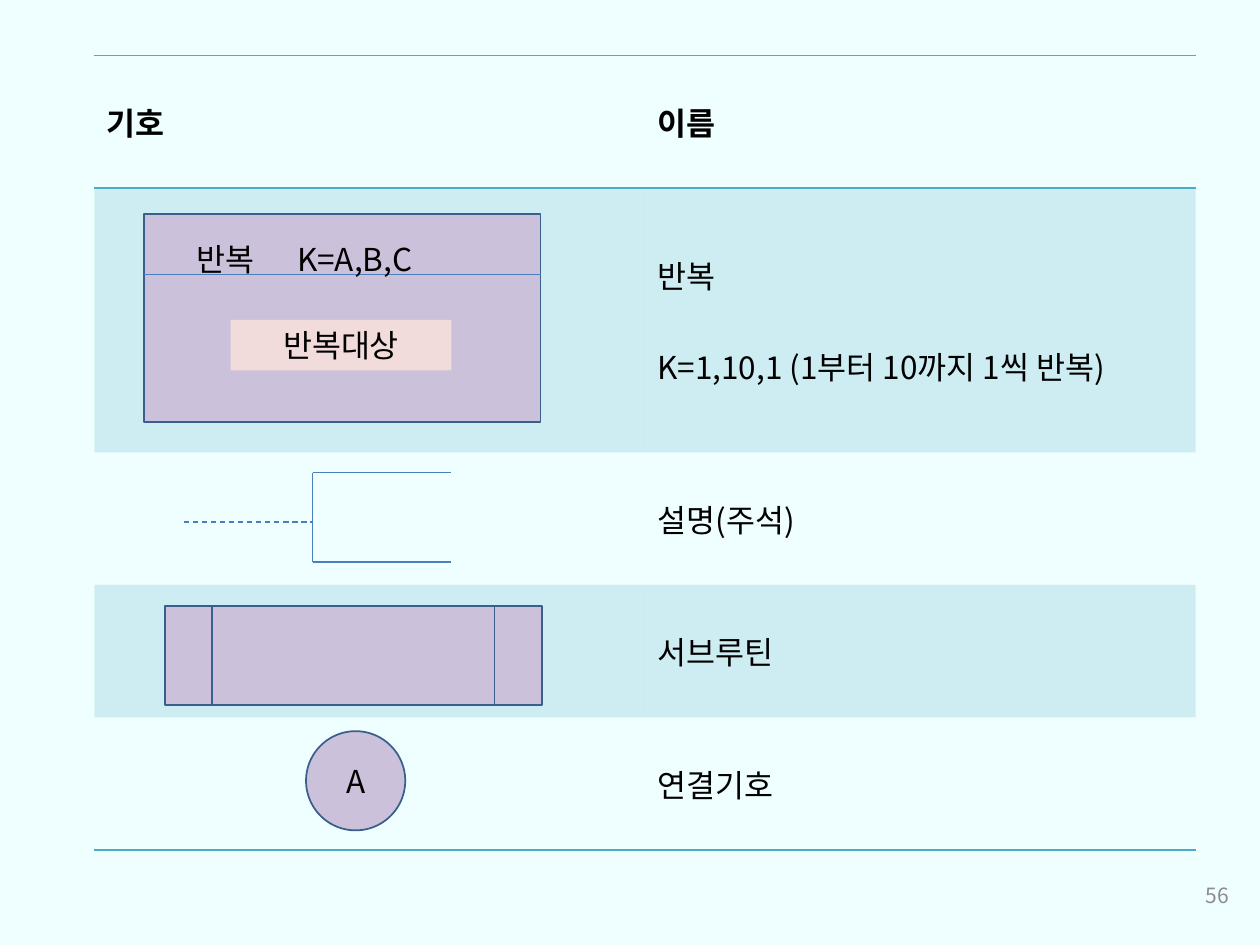
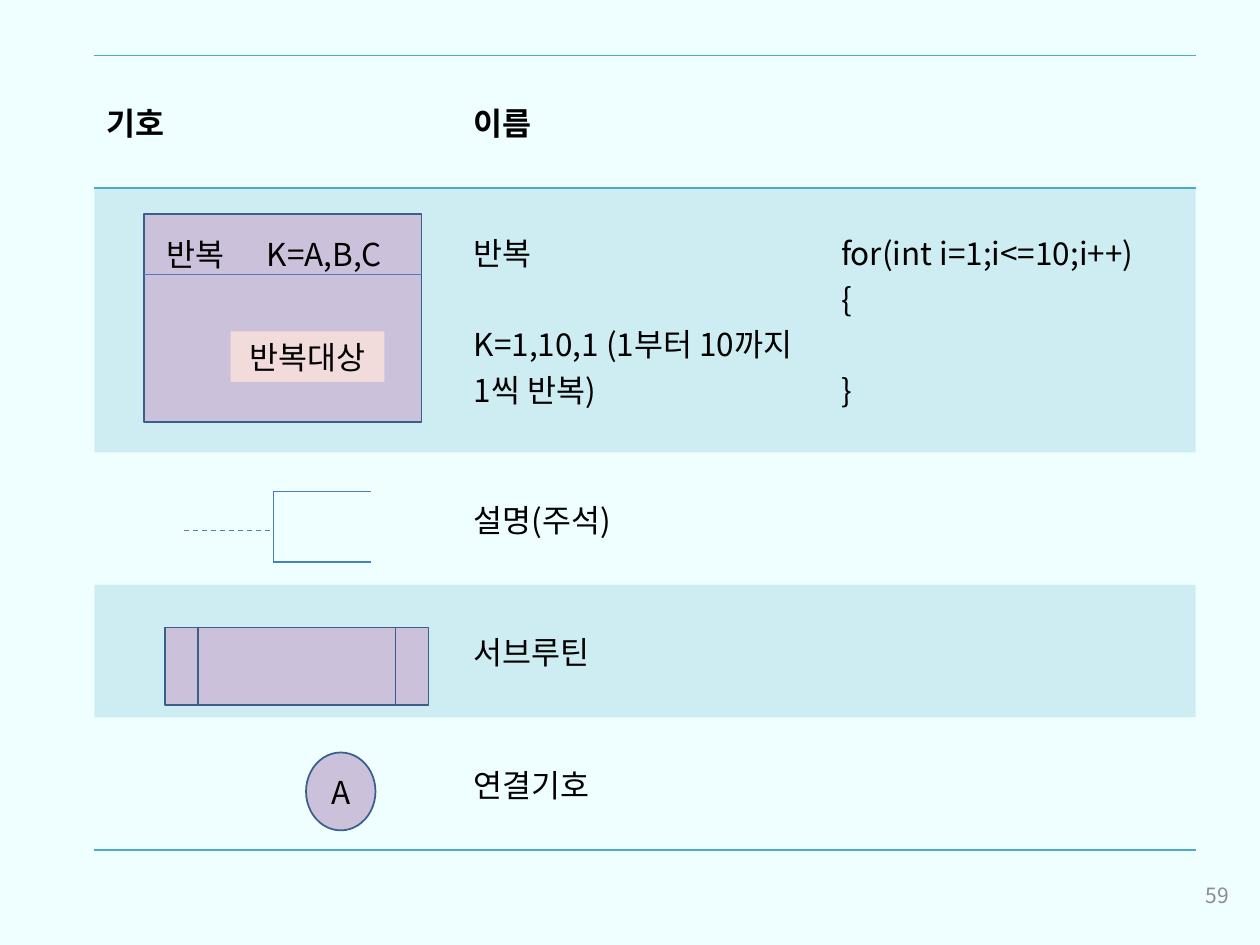
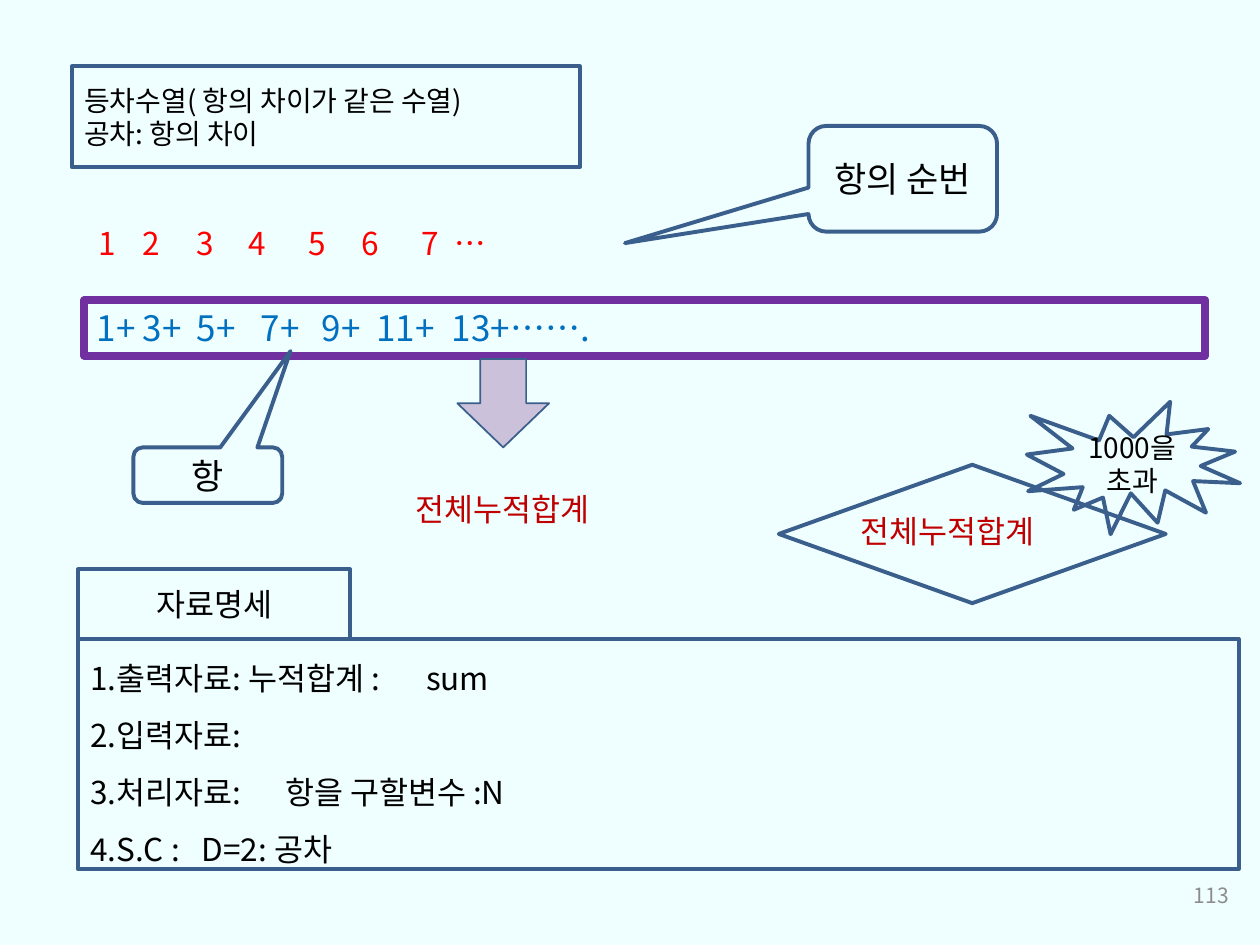
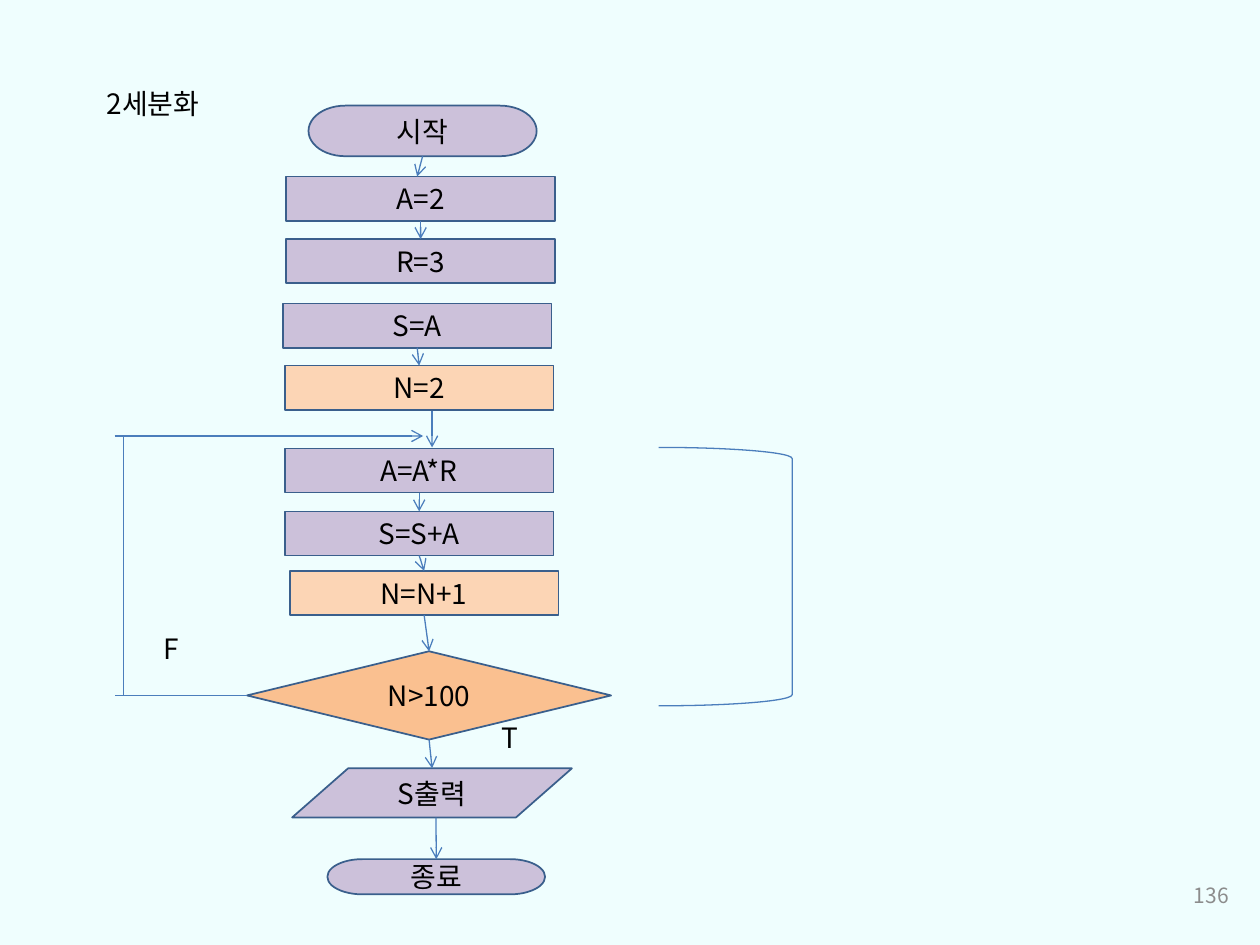
import lxml.etree
import pptx
import pptx.dml.color
import pptx.enum.dml
import pptx.enum.shapes
import pptx.enum.text
import pptx.oxml.ns
import pptx.util

Cm = pptx.util.Cm
Pt = pptx.util.Pt
SHAPE = pptx.enum.shapes.MSO_SHAPE
ALIGN = pptx.enum.text.PP_ALIGN
ANCHOR = pptx.enum.text.MSO_ANCHOR
qn = pptx.oxml.ns.qn

FONT = "Noto Sans CJK KR"
PLAIN_TABLE = "{2D5ABB26-0587-4C30-8999-92F81FD0307C}"
TOP, LEFT, BOTTOM = 0, 1, 2
COLORS = {
    "background": "EFFEFE",
    "text": "000000",
    "number": "8C8C8C",
    "teal": "4BACC6",
    "outline": "3A5F8C",
    "line": "4B7EBC",
    "lilac": "CCC1DA",
    "pink": "F2DCDB",
    "peach": "FCD5B5",
    "orange": "FAC090",
    "purple": "7030A0",
    "blue": "0070C0",
    "red": "FF0000",
    "dark_red": "C00000",
}


def rgb(name):
    return pptx.dml.color.RGBColor.from_string(COLORS[name])


def add_xml(parent, tag, **attributes):
    return lxml.etree.SubElement(parent, qn(tag), attributes)


def write_text(frame, text, size=18, color="text", bold=False, align=ALIGN.LEFT,
               line_spacing=None, tabs=(), gap_before_last=0):
    lines = text.split("\n")
    for index, line in enumerate(lines):
        paragraph = frame.paragraphs[0] if index == 0 else frame.add_paragraph()
        paragraph.alignment = align
        if line_spacing:
            paragraph.line_spacing = line_spacing
        if gap_before_last and index == len(lines) - 1:
            paragraph.space_before = Pt(gap_before_last)
        stops = tabs[index] if tabs else ()
        if stops:
            tab_list = add_xml(paragraph._p.get_or_add_pPr(), "a:tabLst")
            for stop in stops:
                add_xml(tab_list, "a:tab", pos=str(Cm(stop)), algn="l")
        run = paragraph.add_run()
        run.text = line
        run.font.size = Pt(size)
        run.font.bold = bold
        run.font.color.rgb = rgb(color)
        run.font.name = FONT
        add_xml(run._r.get_or_add_rPr(), "a:ea", typeface=FONT)


def fit_frame(frame, anchor, grow):
    frame.word_wrap = True
    frame.vertical_anchor = anchor
    if grow:
        frame.auto_size = pptx.enum.text.MSO_AUTO_SIZE.SHAPE_TO_FIT_TEXT


def add_label(slide, box, text, anchor=ANCHOR.TOP, grow=True, **text_format):
    label = slide.shapes.add_textbox(*map(Cm, box))
    fit_frame(label.text_frame, anchor, grow)
    write_text(label.text_frame, text, **text_format)


def add_box(slide, kind, box, text="", fill=None, line="outline", line_width=1,
            adjustments=(), anchor=ANCHOR.MIDDLE, grow=False,
            align=ALIGN.CENTER, **text_format):
    shape = slide.shapes.add_shape(kind, *map(Cm, box))
    shape.shadow.inherit = False
    for index, value in enumerate(adjustments):
        shape.adjustments[index] = value
    if fill:
        shape.fill.solid()
        shape.fill.fore_color.rgb = rgb(fill)
    else:
        shape.fill.background()
    if line:
        shape.line.color.rgb = rgb(line)
        shape.line.width = Pt(line_width)
    else:
        shape.line.fill.background()
    if text:
        fit_frame(shape.text_frame, anchor, grow)
        write_text(shape.text_frame, text, align=align, **text_format)
    return shape


def add_line(slide, start=(0, 0), end=(0, 0), dashed=False, arrow=False,
             begin_at=None, end_at=None):
    connector = slide.shapes.add_connector(
        pptx.enum.shapes.MSO_CONNECTOR.STRAIGHT, *map(Cm, (*start, *end)))
    if begin_at:
        connector.begin_connect(*begin_at)
    if end_at:
        connector.end_connect(*end_at)
    connector.line.color.rgb = rgb("line")
    connector.line.width = Pt(0.75)
    if dashed:
        connector.line.dash_style = pptx.enum.dml.MSO_LINE.DASH
    properties = connector._element.spPr
    if arrow:
        add_xml(properties.find(qn("a:ln")), "a:tailEnd", type="arrow")
    add_xml(properties, "a:effectLst")


def add_numbered_slide(presentation, number):
    slide = presentation.slides.add_slide(presentation.slide_layouts[6])
    add_label(slide, (19.1, 17.53, 5.92, 1.02), str(number), size=12, color="number",
              align=ALIGN.RIGHT, anchor=ANCHOR.MIDDLE, grow=False)
    return slide


def style_cell(cell, edges, banded):
    properties = cell._tc.get_or_add_tcPr()
    for edge in edges:
        border = add_xml(properties, edge, w=str(Pt(1)))
        add_xml(add_xml(border, "a:solidFill"), "a:srgbClr", val=COLORS["teal"])
    if banded:
        cell.fill.solid()
        cell.fill.fore_color.rgb = rgb("teal")
        color = properties.find(qn("a:solidFill")).find(qn("a:srgbClr"))
        add_xml(color, "a:alpha", val="20000")
    else:
        cell.fill.background()
    cell.vertical_anchor = ANCHOR.MIDDLE


def add_symbol_table(slide, rows):
    width = 22.2
    column_count = len(rows[0])
    table = slide.shapes.add_table(len(rows), column_count, Cm(1.9), Cm(1.12),
                                   Cm(width), Cm(16)).table
    table._tbl.tblPr.find(qn("a:tableStyleId")).text = PLAIN_TABLE
    table.first_row = table.horz_banding = False
    for column in table.columns:
        column.width = Cm(width / column_count)
    edges = {0: ("a:lnT", "a:lnB"), len(rows) - 1: ("a:lnB",)}
    for row_index, texts in enumerate(rows):
        table.rows[row_index].height = Cm(5.33 if row_index == 1 else 2.67)
        for column_index, text in enumerate(texts):
            cell = table.cell(row_index, column_index)
            style_cell(cell, edges.get(row_index, ()), row_index % 2 == 1)
            if text:
                write_text(cell.text_frame, text, bold=row_index == 0,
                           gap_before_last=26 if "\n" in text else 0)


def draw_loop_symbol(slide, width, caption_box, body_box):
    left, top, divider = 2.9, 4.32, 5.54
    add_box(slide, SHAPE.RECTANGLE, (left, top, width, 4.19), fill="lilac")
    add_line(slide, (left, divider), (left + width, divider))
    add_label(slide, caption_box, "반복\tK=A,B,C", tabs=[(2.03,)])
    add_box(slide, SHAPE.RECTANGLE, body_box, "반복대상", fill="pink", line=None,
            anchor=ANCHOR.TOP, grow=True)


def draw_comment_symbol(slide, spine, right, top, middle):
    bottom = 11.33
    add_line(slide, (3.71, middle), (spine, middle), dashed=True)
    for arm in (top, bottom):
        add_line(slide, (spine, arm), (right, arm))
    add_line(slide, (spine, top), (spine, bottom))


def draw_small_symbols(slide, height, subroutine_width, circle_width):
    add_box(slide, SHAPE.FLOWCHART_PREDEFINED_PROCESS,
            (3.33, 14.22 - height, subroutine_width, height), fill="lilac")
    add_box(slide, SHAPE.FLOWCHART_CONNECTOR,
            (6.17, 16.74 - height, circle_width, height), "A", fill="lilac")


def symbol_rows(*code):
    names = ["이름", "반복\nK=1,10,1 (1부터 10까지 1씩 반복)", "설명(주석)",
             "서브루틴", "연결기호"]
    rows = [["기호" if index == 0 else "", name] for index, name in enumerate(names)]
    if code:
        for index, row in enumerate(rows):
            row.append("\n".join(code) if index == 1 else "")
    return rows


def build_symbols(presentation):
    slide = add_numbered_slide(presentation, 56)
    add_symbol_table(slide, symbol_rows())
    draw_loop_symbol(slide, 8, (3.71, 4.72, 6.4, 1.02), (4.65, 6.45, 4.45, 1.02))
    draw_comment_symbol(slide, spine=6.3, right=9.09, top=9.53, middle=10.52)
    draw_small_symbols(slide, height=2, subroutine_width=7.59, circle_width=2)


def build_symbols_with_code(presentation):
    slide = add_numbered_slide(presentation, 59)
    add_symbol_table(slide, symbol_rows("for(int i=1;i<=10;i++)", "{", "}"))
    draw_loop_symbol(slide, 5.6, (3.1, 4.62, 5.41, 1.02), (4.65, 6.68, 3.1, 1.02))
    draw_comment_symbol(slide, spine=5.51, right=7.47, top=9.91, middle=10.69)
    draw_small_symbols(slide, height=1.57, subroutine_width=5.31, circle_width=1.4)


def build_sequence(presentation):
    slide = add_numbered_slide(presentation, 113)
    add_box(slide, SHAPE.RECTANGLE, (1.7, 6.05, 22.6, 1.12),
            "1+\t3+\t5+\t7+\t9+\t11+\t13+…….", line="purple", line_width=4.5,
            size=20, color="blue", align=ALIGN.LEFT, anchor=ANCHOR.TOP, grow=True,
            tabs=[(0.93, 2.02, 3.31, 4.54, 5.64, 7.16)])
    add_label(slide, (1.73, 4.39, 22.6, 1.02), "1\t2\t3\t4\t5\t6\t7\t…", color="red",
              tabs=[(0.9, 1.98, 3.04, 4.25, 5.3, 6.51, 7.18)])
    add_label(slide, (8.13, 9.75, 4.8, 1.02), "전체누적합계", color="dark_red")
    add_box(slide, SHAPE.DOWN_ARROW, (9.22, 7.24, 1.85, 1.78), fill="lilac")

    callouts = [
        ("항의 순번", (16.3, 2.54, 3.8, 2.13), (-1.474, 0.609, 0.167)),
        ("항", (2.69, 9.02, 3, 1.12), (0.556, -2.234, 0.167)),
    ]
    for text, box, adjustments in callouts:
        add_box(slide, SHAPE.ROUNDED_RECTANGULAR_CALLOUT, box, text, line_width=2.25,
                adjustments=adjustments, size=20)

    add_box(slide, SHAPE.RECTANGLE, (1.45, 1.34, 10.24, 2.03),
            "등차수열( 항의 차이가 같은 수열)\n공차: 항의 차이",
            line_width=2.25, size=16, align=ALIGN.LEFT)
    add_box(slide, SHAPE.FLOWCHART_DECISION, (15.7, 9.37, 7.8, 2.79), line_width=2.25)
    add_label(slide, (17.1, 10.19, 6, 1.02), "전체누적합계", color="dark_red")
    add_box(slide, SHAPE.RECTANGLE, (1.57, 11.48, 5.49, 1.4), "자료명세",
            line_width=2.25)
    data_items = [
        "1.출력자료: 누적합계 :\tsum",
        "2.입력자료:",
        "3.처리자료:\t항을 구할변수 :N",
        "4.S.C :\tD=2: 공차",
    ]
    add_box(slide, SHAPE.RECTANGLE, (1.57, 12.88, 23.4, 4.64), "\n".join(data_items),
            line_width=2.25, align=ALIGN.LEFT, line_spacing=1.5,
            tabs=[(6.77,), (), (3.93,), (2.25,)])
    add_box(slide, SHAPE.EXPLOSION1, (20.7, 8.1, 4.3, 2.67), "1000을 초과",
            line_width=2.25, size=16)


def build_flowchart(presentation):
    slide = add_numbered_slide(presentation, 136)
    add_line(slide, (8.71, 7.82), (8.71, 9.02), arrow=True)

    processes = [
        ("A=2", 5.77, 3.56, "lilac"),
        ("R=3", 5.77, 4.82, "lilac"),
        ("S=A", 5.7, 6.12, "lilac"),
        ("N=2", 5.74, 7.37, "peach"),
        ("A=A*R", 5.74, 9.04, "lilac"),
        ("S=S+A", 5.74, 10.31, "lilac"),
        ("N=N+1", 5.84, 11.51, "peach"),
    ]
    nodes = {
        text: add_box(slide, SHAPE.FLOWCHART_PROCESS, (left, top, 5.42, 0.89), text,
                      fill=fill, size=16)
        for text, left, top, fill in processes
    }
    others = [
        ("시작", SHAPE.FLOWCHART_TERMINATOR, (6.22, 2.13, 4.6, 1.02), "lilac"),
        ("N>100", SHAPE.FLOWCHART_DECISION, (4.98, 13.13, 7.34, 1.78), "orange"),
        ("S출력", SHAPE.FLOWCHART_DATA, (5.89, 15.49, 5.64, 0.99), "lilac"),
        ("종료", SHAPE.FLOWCHART_TERMINATOR, (6.6, 17.32, 4.39, 0.71), "lilac"),
    ]
    for text, kind, box, fill in others:
        nodes[text] = add_box(slide, kind, box, text, fill=fill, size=16)

    steps = [("A=2", "R=3"), ("S=A", "N=2"), ("A=A*R", "S=S+A"),
             ("S=S+A", "N=N+1"), ("N=N+1", "N>100")]
    for source, target in steps:
        add_line(slide, begin_at=(nodes[source], BOTTOM), end_at=(nodes[target], TOP),
                 arrow=True)
    add_line(slide, end=(8.41, 3.56), begin_at=(nodes["시작"], BOTTOM), arrow=True)
    add_line(slide, end=(8.71, 15.49), begin_at=(nodes["N>100"], BOTTOM), arrow=True)
    add_line(slide, start=(8.79, 16.48), end_at=(nodes["종료"], TOP), arrow=True)

    add_line(slide, end=(2.31, 14.02), begin_at=(nodes["N>100"], LEFT))
    add_line(slide, (2.49, 14.02), (2.49, 8.79))
    add_line(slide, (2.31, 8.79), (8.53, 8.79), arrow=True)
    add_box(slide, SHAPE.RIGHT_BRACKET, (13.28, 9.02, 2.69, 5.21), line="line",
            line_width=0.75)

    labels = [("2세분화", 1.9, 1.63, 3.28), ("F", 3.05, 12.6, 1.93),
              ("T", 9.86, 14.4, 1.93)]
    for text, left, top, width in labels:
        add_label(slide, (left, top, width, 1.14), text, size=16)


def main():
    presentation = pptx.Presentation()
    presentation.slide_width = Cm(25.4)
    presentation.slide_height = Cm(19.05)
    background = presentation.slide_master.background.fill
    background.solid()
    background.fore_color.rgb = rgb("background")
    build_symbols(presentation)
    build_symbols_with_code(presentation)
    build_sequence(presentation)
    build_flowchart(presentation)
    presentation.save("out.pptx")


if __name__ == "__main__":
    main()
